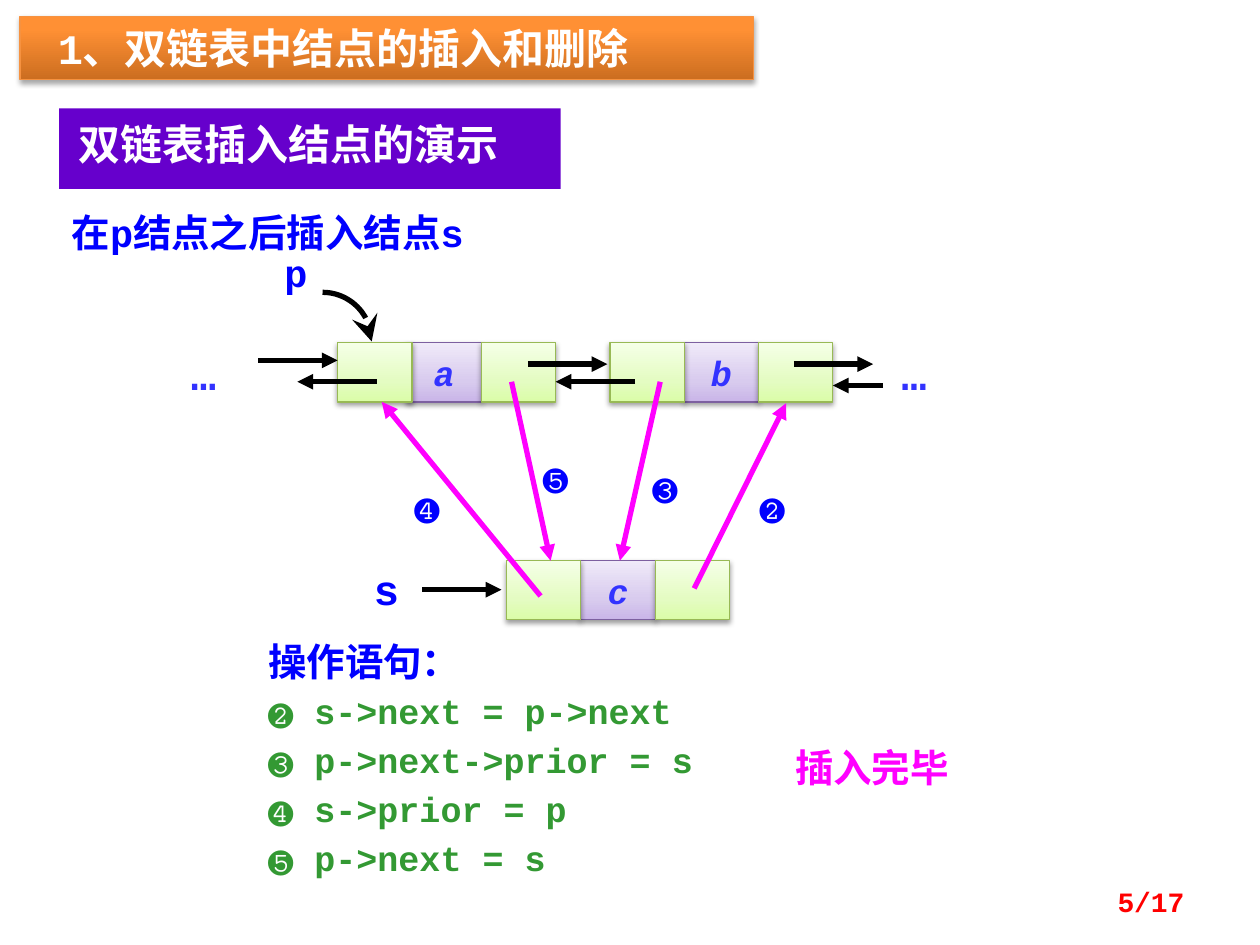
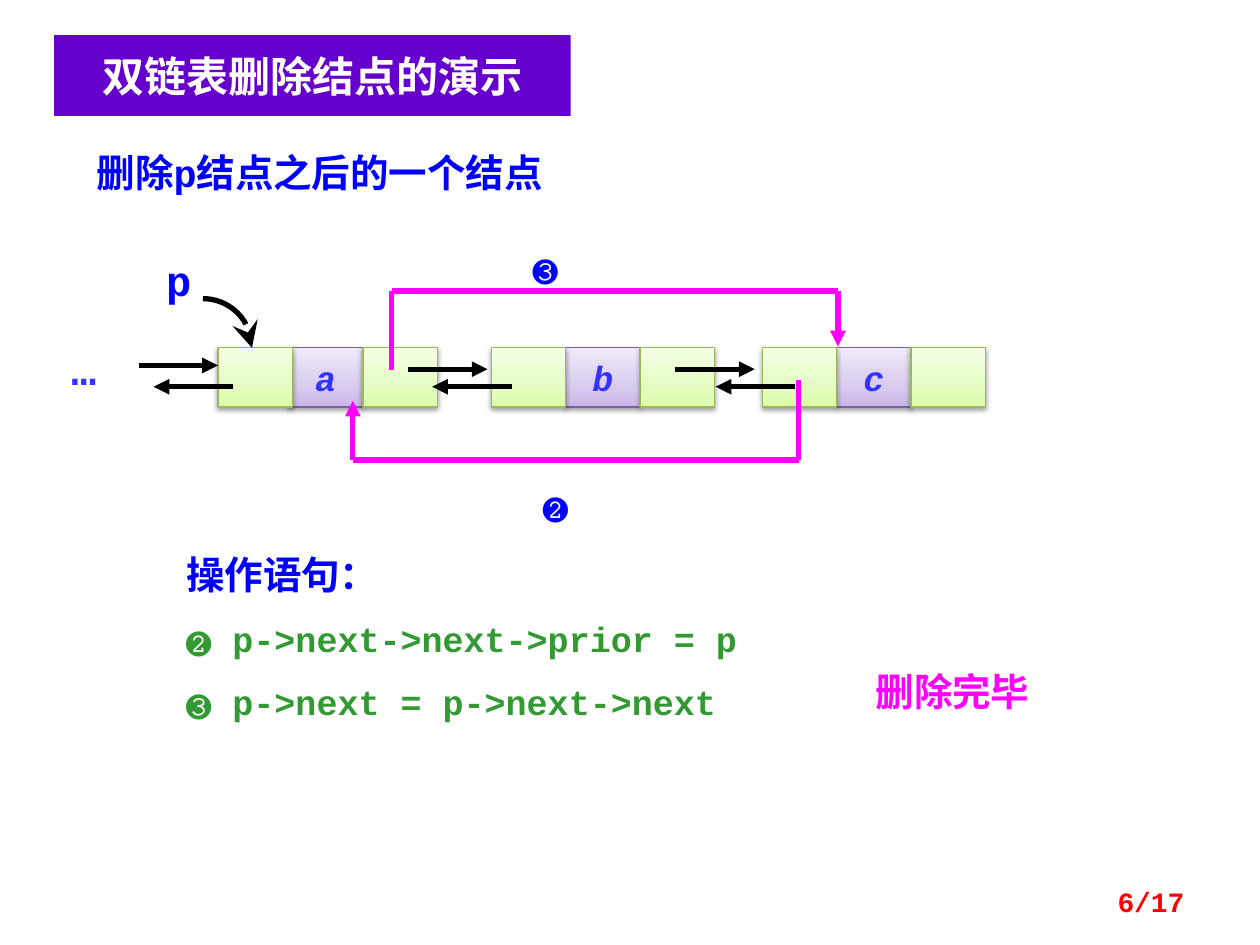
from math import cos, pi, sin

from lxml.etree import SubElement
from pptx import Presentation
from pptx.dml.color import RGBColor
from pptx.enum.shapes import MSO_CONNECTOR, MSO_SHAPE
from pptx.enum.text import MSO_ANCHOR, MSO_AUTO_SIZE, PP_ALIGN
from pptx.oxml import parse_xml
from pptx.oxml.ns import nsdecls, qn
from pptx.util import Inches, Pt

BLACK = RGBColor(0, 0, 0)
WHITE = RGBColor(255, 255, 255)
BLUE = RGBColor(0, 0, 255)
INDIGO = RGBColor(0x33, 0x33, 0xFF)
GREEN = RGBColor(0x33, 0x99, 0x33)
PINK = RGBColor(255, 0, 255)
RED = RGBColor(255, 0, 0)
VIOLET = RGBColor(0x66, 0, 0xCC)
PLUM = RGBColor(0x7D, 0x60, 0xA0)
OLIVE = RGBColor(0x98, 0xB9, 0x55)
AMBER = RGBColor(0xF6, 0x92, 0x40)

# Gradient stops, from the bottom edge up
LILAC = [(0, "C9B5E8"), (35, "D8CBEE"), (100, "F0EAF9")]
LIME = [(0, "DAFDA7"), (35, "E4FCC2"), (100, "F5FFE7")]
ORANGE = [(0, "CC6E20"), (80, "FF9034"), (100, "FF9136")]

LEFT, MID, RIGHT = PP_ALIGN.LEFT, PP_ALIGN.CENTER, PP_ALIGN.RIGHT
FONT = "Courier New"
CELL_W, CELL_H = 0.59, 0.47
REACH = 0.63  # length of a link arrow
BEND = 0.39   # radius of the pointer curve


class Deck:
    """Holds the style and the current slide."""

    def __init__(self):
        """Start an empty 4:3 deck."""
        self.prs = Presentation()
        self.prs.slide_width, self.prs.slide_height = Inches(10), Inches(7.5)

    def page(self, number):
        """Add a blank slide with its page number."""
        self.shapes = self.prs.slides.add_slide(self.prs.slide_layouts[6]).shapes
        box = self.text((7.17, 6.95, 2.33, 0.4), f"{number}/17", 16, RED,
                        RIGHT, lead=False)
        box.text_frame.auto_size = MSO_AUTO_SIZE.NONE
        box.text_frame.vertical_anchor = MSO_ANCHOR.MIDDLE

    def style(self, para, size, color, align=LEFT, lead=False):
        """Set font and alignment, and half a line before if lead."""
        para.alignment = align
        font = para.font
        font.name, font.size, font.bold = FONT, Pt(size), True
        font.color.rgb = color
        if lead:
            para.space_before = Pt(0)
            space = para._p.pPr.find(qn("a:spcBef"))
            space.remove(space[0])
            SubElement(space, qn("a:spcPct")).set("val", "50000")

    def text(self, at, words, size, color, align=LEFT, lead=True):
        """Add a one-line text box."""
        box = self.shapes.add_textbox(*map(Inches, at))
        frame = box.text_frame
        frame.word_wrap = True
        frame.auto_size = MSO_AUTO_SIZE.SHAPE_TO_FIT_TEXT
        frame.text = words
        self.style(frame.paragraphs[0], size, color, align, lead)
        return box

    def rect(self, at):
        """Add a plain rectangle without shadow."""
        shape = self.shapes.add_shape(MSO_SHAPE.RECTANGLE, *map(Inches, at))
        shape.shadow.inherit = False
        return shape

    def glossy(self, at, stops, edge, alpha=38):
        """Add a rectangle with a gradient, a thin edge and a soft shadow."""
        shape = self.rect(at)
        shape.line.color.rgb, shape.line.width = edge, Pt(0.75)
        marks = "".join(f'<a:gs pos="{pos * 1000}"><a:srgbClr val="{tint}"/></a:gs>'
                        for pos, tint in stops)
        props = shape._element.spPr
        props.insert(2, parse_xml(
            f'<a:gradFill {nsdecls("a")} rotWithShape="1"><a:gsLst>{marks}</a:gsLst>'
            '<a:lin ang="16200000" scaled="0"/></a:gradFill>'))
        props.find(qn("a:effectLst")).append(parse_xml(
            f'<a:outerShdw {nsdecls("a")} blurRad="{Pt(3.1)}" dist="{Pt(1.6)}" '
            'dir="5400000" rotWithShape="0"><a:srgbClr val="000000">'
            f'<a:alpha val="{alpha * 1000}"/></a:srgbClr></a:outerShdw>'))
        return shape

    def title(self, words):
        """Add the orange section bar."""
        frame = self.glossy((0.16, 0.13, 5.82, 0.5), ORANGE, AMBER, 35).text_frame
        frame.vertical_anchor = MSO_ANCHOR.TOP
        frame.text = words
        self.style(frame.paragraphs[0], 24, WHITE)

    def band(self, at, words, pads, align):
        """Add the violet heading band."""
        shape = self.rect(at)
        shape.fill.solid()
        shape.fill.fore_color.rgb = VIOLET
        shape.line.fill.background()
        frame = shape.text_frame
        frame.vertical_anchor = MSO_ANCHOR.TOP
        (frame.margin_left, frame.margin_top,
         frame.margin_right, frame.margin_bottom) = map(Inches, pads)
        frame.text = words
        self.style(frame.paragraphs[0], 24, WHITE, align)

    def node(self, left, top, name, step=CELL_W):
        """Add a list node: prior cell, data cell, next cell."""
        mid = left + step
        data = self.glossy((mid, top, CELL_W, CELL_H), LILAC, PLUM)
        frame = data.text_frame
        frame.word_wrap = False
        frame.text = name
        self.style(frame.paragraphs[0], 20, INDIGO, MID)
        frame.paragraphs[0].font.italic = True
        for x in (mid + CELL_W, left):
            self.glossy((x, top, CELL_W, CELL_H), LIME, OLIVE)

    def tip(self, line, kind, size="med"):
        """Put an arrowhead at the end of a line."""
        SubElement(line._get_or_add_ln(), qn("a:tailEnd"),
                   type=kind, w=size, len=size)

    def line(self, start, end, color=BLACK, head=True):
        """Add a straight line, by default with an arrowhead."""
        link = self.shapes.add_connector(MSO_CONNECTOR.STRAIGHT,
                                         *map(Inches, (*start, *end)))
        link.line.color.rgb, link.line.width = color, Pt(3)
        SubElement(link._element.spPr, qn("a:effectLst"))
        if head:
            self.tip(link.line, "triangle")

    def links(self, y, starts, reach):
        """Add level arrows of one length, leftward if reach is negative."""
        for x in starts:
            self.line((x, y), (x + reach, y))

    def route(self, points):
        """Add a pink path of straight lines, with a head on the last."""
        last = len(points) - 2
        for i, (start, end) in enumerate(zip(points, points[1:])):
            self.line(start, end, PINK, i == last)

    def curve(self, left, top):
        """Add the quarter-circle pointer to a node."""
        turns = [i * pi / 48 for i in range(25)]
        dots = [(Inches(left + BEND * sin(t)), Inches(top + BEND * (1 - cos(t))))
                for t in turns]
        path = self.shapes.build_freeform(*dots[0])
        path.add_line_segments(dots[1:], close=False)
        shape = path.convert_to_shape()
        shape.shadow.inherit = False
        shape.fill.background()
        shape.line.color.rgb, shape.line.width = BLACK, Pt(3)
        self.tip(shape.line, "stealth", "lg")

    def mark(self, left, top, words, size=24):
        """Add a short blue label."""
        self.text((left, top, 0.47, 0.5), words, size, BLUE)

    def dots(self, left, top):
        """Add the ellipsis for the rest of the list."""
        self.text((left, top, 0.63, 0.5), "…", 24, INDIGO, MID)

    def steps(self, at, pitch, rows):
        """Add the numbered statements under their heading."""
        frame = self.text(at, "操作语句：", 22, BLUE).text_frame
        for sign, code in rows:
            para = frame.add_paragraph()
            self.style(para, 20, GREEN, lead=True)
            run = para.add_run()
            run.text, run.font.size = sign, Pt(24)
            para.add_run().text = " " + code
        for para in frame.paragraphs:
            para.line_spacing = Pt(pitch)


def insertion(deck):
    """Build the slide on inserting a node."""
    deck.page(5)
    top = 2.72
    deck.node(2.68, top, "a", 0.55)
    deck.node(4.84, top, "b")
    deck.node(4.02, 4.45, "c")
    deck.dots(1.3, top)
    deck.dots(6.94, top)
    deck.links(2.86, [2.05], REACH)
    deck.links(2.89, [4.19, 6.3], REACH)
    deck.links(3.03, [2.99, 5.04], -REACH)
    deck.links(3.06, [7.01], -0.4)
    deck.curve(2.56, 2.32)
    deck.mark(2.16, 1.93, "p", 22)
    deck.links(4.68, [3.35], REACH)
    deck.mark(2.87, 4.42, "s")
    deck.steps((2.03, 5.16, 3.91, 2.06), 16, [
        ("❷", "s->next = p->next"), ("❸", "p->next->prior = s"),
        ("❹", "s->prior = p"), ("❺", "p->next = s")])
    for start, end, spot, sign in [
            ((5.51, 4.67), (6.24, 3.2), (5.93, 3.74), "❷"),
            ((5.24, 3.03), (4.92, 4.45), (5.08, 3.58), "❸"),
            ((4.29, 4.73), (3.03, 3.19), (3.19, 3.74), "❹"),
            ((4.06, 3.03), (4.37, 4.45), (4.21, 3.5), "❺")]:
        deck.route([start, end])
        deck.mark(*spot, sign)
    deck.text((0.47, 1.61, 4.33, 0.47), "在p结点之后插入结点s", 22, BLUE)
    deck.band((0.47, 0.86, 3.98, 0.64), " 双链表插入结点的演示",
              (0.08, 0.08, 0.18, 0.16), LEFT)
    deck.text((5.78, 5.86, 2.28, 0.47), "插入完毕", 22, PINK, MID)
    deck.title(" 1、双链表中结点的插入和删除")


def deletion(deck):
    """Build the slide on deleting a node."""
    deck.page(6)
    top = 2.76
    deck.node(1.73, top, "a", 0.56)
    deck.node(3.9, top, "b")
    deck.node(6.05, top, "c")
    deck.dots(0.35, 2.68)
    deck.links(2.9, [1.1], REACH)
    deck.links(2.93, [3.24, 5.36], REACH)
    deck.links(3.07, [1.85, 4.06, 6.31], -REACH)
    deck.curve(1.61, 2.37)
    deck.mark(1.22, 1.97, "p")
    deck.steps((1.38, 4.36, 5.04, 1.51), 24, [
        ("❷", "p->next->next->prior = p"), ("❸", "p->next = p->next->next")])
    deck.mark(4.21, 3.73, "❷")
    deck.route([(6.34, 3.02), (6.34, 3.65), (2.8, 3.65), (2.8, 3.18)])
    deck.route([(3.11, 2.94), (3.11, 2.31), (6.65, 2.31), (6.65, 2.75)])
    deck.mark(4.13, 1.84, "❸")
    deck.text((0.67, 1.13, 5.43, 0.47), "删除p结点之后的一个结点", 22, BLUE)
    deck.band((0.43, 0.28, 4.1, 0.64), "双链表删除结点的演示",
              (0.18, 0.12, 0.18, 0.12), MID)
    deck.text((6.42, 5.25, 2.28, 0.47), "删除完毕", 22, PINK, MID)


deck = Deck()
insertion(deck)
deletion(deck)
deck.prs.save("out.pptx")
